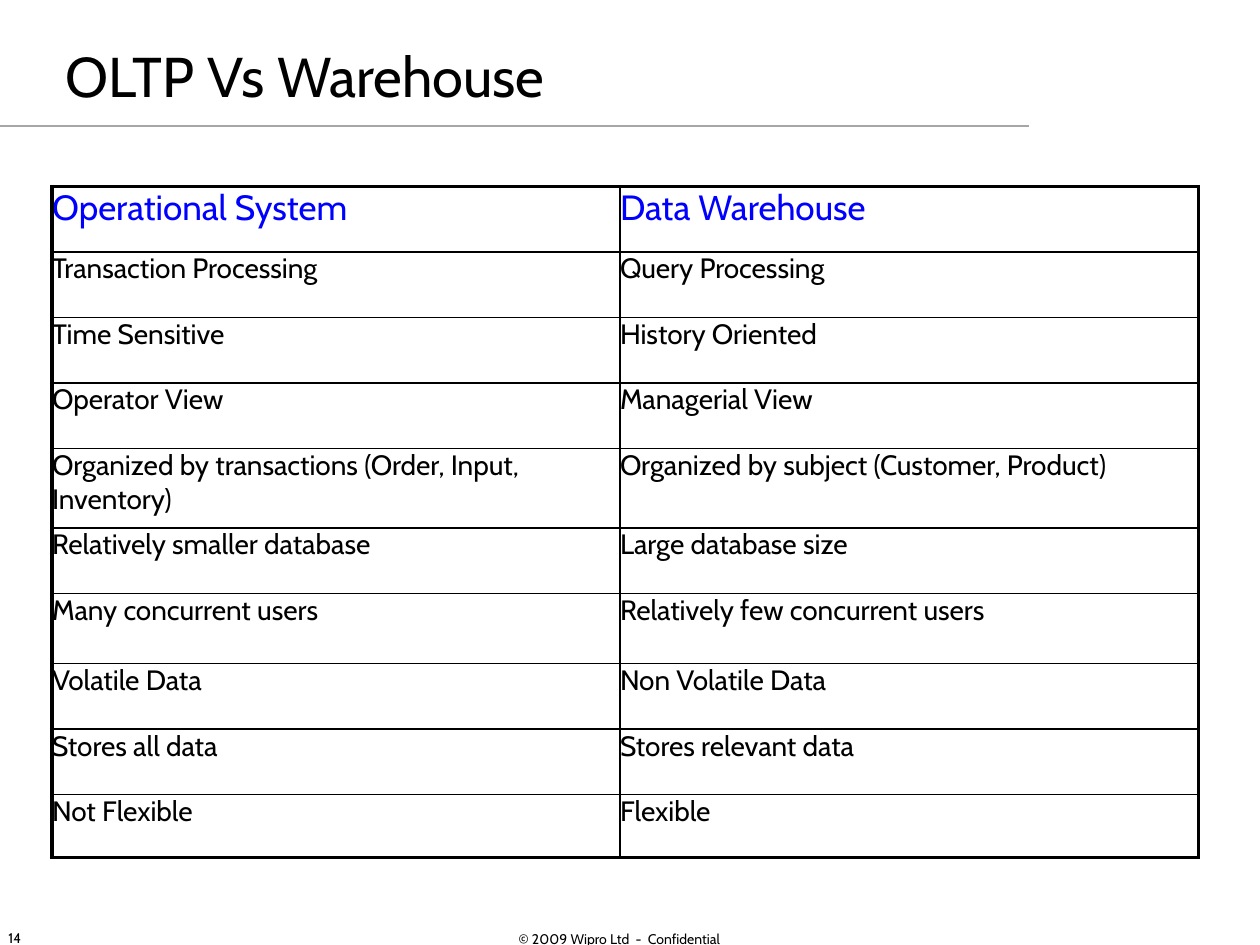
from dataclasses import dataclass

from lxml.etree import SubElement
from pptx import Presentation
from pptx.dml.color import RGBColor
from pptx.enum.shapes import MSO_CONNECTOR
from pptx.enum.text import MSO_ANCHOR, MSO_AUTO_SIZE, PP_ALIGN
from pptx.oxml import parse_xml
from pptx.oxml.ns import nsdecls, qn
from pptx.util import Cm, Pt


@dataclass(frozen=True)
class Theme:
    font: str = "Cabin"
    text: str = "000000"
    header: str = "0000FF"
    rule: str = "A6A6A6"
    title_size: float = 32
    header_size: float = 20
    cell_size: float = 16
    footer_size: float = 8
    outer_line: float = 2.25
    inner_line: float = 1
    rule_line: float = 0.75


class SlideBuilder:
    def __init__(self, slide, theme):
        self.s = slide
        self.theme = theme

    def add_text(self, tf, text, size, color=None, align=PP_ALIGN.LEFT):
        p = tf.paragraphs[0]
        p.alignment = align
        r = p.add_run()
        r.text = text
        for name, value in {"name": self.theme.font, "size": Pt(size), "bold": False}.items():
            setattr(r.font, name, value)
        r.font.color.rgb = RGBColor.from_string(color or self.theme.text)

    def place(self, sp, box, anchor):
        for name, value in zip(("left", "top", "width", "height"), box):
            setattr(sp, name, Cm(value))
        tf = sp.text_frame
        frame = {"word_wrap": True, "auto_size": MSO_AUTO_SIZE.NONE, "vertical_anchor": anchor}
        for name, value in frame.items():
            setattr(tf, name, value)
        return tf

    def title(self, text, box):
        tf = self.place(self.s.shapes.title, box, MSO_ANCHOR.TOP)
        self.add_text(tf, text, self.theme.title_size)

    def footer(self, text, box, align=PP_ALIGN.LEFT):
        sp = self.s.shapes.add_textbox(0, 0, 0, 0)
        tf = self.place(sp, box, MSO_ANCHOR.MIDDLE)
        self.add_text(tf, text, self.theme.footer_size, align=align)

    def rule(self, x1, x2, y):
        line = self.s.shapes.add_connector(
            MSO_CONNECTOR.STRAIGHT, Cm(x1), Cm(y), Cm(x2), Cm(y))
        line.line.color.rgb = RGBColor.from_string(self.theme.rule)
        line.line.width = Pt(self.theme.rule_line)
        SubElement(line._element.spPr, qn("a:effectLst"))

    def borders(self, cell, outer):
        tcPr = cell._tc.get_or_add_tcPr()
        for i, (side, is_outer) in enumerate(outer.items()):
            width = self.theme.outer_line if is_outer else self.theme.inner_line
            tcPr.insert(i, parse_xml(
                f'<a:ln{side} {nsdecls("a")} w="{Pt(width)}"><a:solidFill>'
                f'<a:srgbClr val="{self.theme.text}"/></a:solidFill></a:ln{side}>'))

    def table(self, rows, left, top, widths, heights):
        table = self.s.shapes.add_table(
            len(rows), len(widths), Cm(left), Cm(top),
            Cm(sum(widths)), Cm(sum(heights))).table
        table.first_row = table.horz_banding = False
        for column, width in zip(table.columns, widths):
            column.width = Cm(width)
        for row, height in zip(table.rows, heights):
            row.height = Cm(height)
        for i, row in enumerate(rows):
            for j, text in enumerate(row):
                cell = table.cell(i, j)
                for side in ("left", "right", "top", "bottom"):
                    setattr(cell, f"margin_{side}", 0)
                cell.fill.background()
                self.borders(cell, {"L": j == 0, "R": j == len(row) - 1,
                                    "T": i == 0, "B": i == len(rows) - 1})
                if i == 0:
                    self.add_text(cell.text_frame, text, self.theme.header_size, self.theme.header)
                else:
                    self.add_text(cell.text_frame, text, self.theme.cell_size)


COMPARISON = [
    ("Operational System", "Data Warehouse"),
    ("Transaction Processing", "Query Processing"),
    ("Time Sensitive", "History Oriented"),
    ("Operator View", "Managerial View"),
    ("Organized by transactions (Order, Input, Inventory)",
     "Organized by subject (Customer, Product)"),
    ("Relatively smaller database", "Large database size"),
    ("Many concurrent users", "Relatively few concurrent users"),
    ("Volatile Data", "Non Volatile Data"),
    ("Stores all data", "Stores relevant data"),
    ("Not Flexible", "Flexible"),
]


def main():
    prs = Presentation()
    prs.slide_width, prs.slide_height = Cm(25.4), Cm(19.05)
    slide = SlideBuilder(prs.slides.add_slide(prs.slide_layouts[5]), Theme())

    # Heading and the rule below it
    slide.rule(0, 20.75, 2.54)
    slide.title("OLTP Vs Warehouse", (1.07, 0.71, 11.18, 1.6))

    # Comparison table: equal rows, apart from three
    heights = [1.32] * len(COMPARISON)
    heights[4], heights[6], heights[-1] = 1.6, 1.42, 1.27
    slide.table(COMPARISON, 1.05, 3.76, (11.45, 11.66), heights)

    # Footer
    slide.footer("© 2009 Wipro Ltd  -  Confidential", (6.99, 18.42, 11, 1.02), PP_ALIGN.CENTER)
    slide.footer("14", (-0.08, 18.39, 5.92, 1.02))

    prs.save("out.pptx")


if __name__ == "__main__":
    main()
